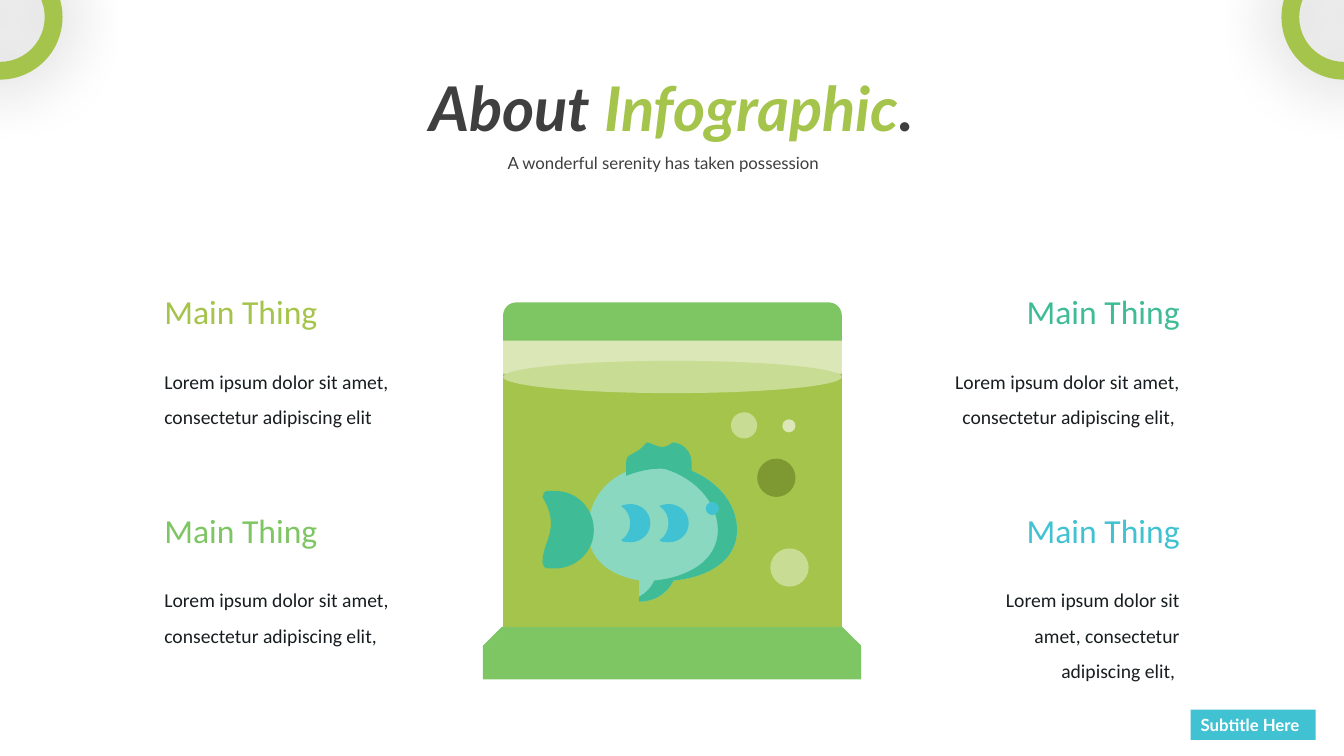
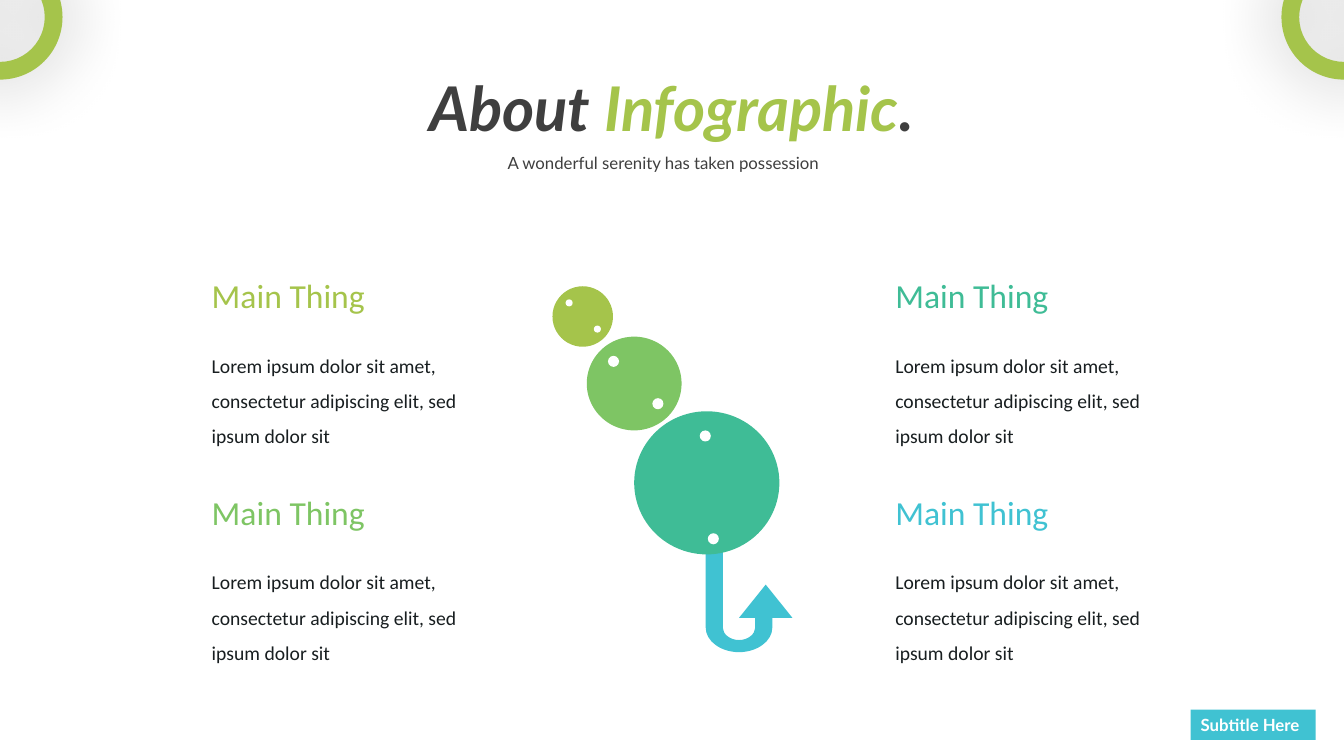
import pptx
import pptx.dml.color
import pptx.enum.shapes
import pptx.enum.text
import pptx.oxml
import pptx.oxml.ns
import pptx.util

Inches = pptx.util.Inches
Pt = pptx.util.Pt
RGBColor = pptx.dml.color.RGBColor
SHAPE = pptx.enum.shapes.MSO_SHAPE
LEFT, CENTER, RIGHT = (pptx.enum.text.PP_ALIGN.LEFT, pptx.enum.text.PP_ALIGN.CENTER,
                       pptx.enum.text.PP_ALIGN.RIGHT)

COLORS = {
    "lime": "A5C44B", "green": "7EC564", "teal": "3FBC96", "cyan": "40C2D2",
    "mint": "8BD8C0", "olive": "7F9932", "surface": "C9DC93", "air": "DBE7B7",
    "dark": "3F3F3F", "body": "181E20", "white": "FFFFFF",
}
COLORS = {name: RGBColor.from_string(value) for name, value in COLORS.items()}
HEADING_WIDTH = 1.68


def add_figure(shapes, kind, box, color, adjustments=()):
    shape = shapes.add_shape(kind, *map(Inches, box))
    shape.shadow.inherit = False
    shape.fill.solid()
    shape.fill.fore_color.rgb = COLORS[color]
    shape.line.fill.background()
    for index, value in enumerate(adjustments):
        shape.adjustments[index] = value
    return shape


def add_outline(shapes, start, steps, color, shift=0):
    """Draw a filled outline; a step is a line (x, y) or a cubic curve (x1, y1, x2, y2, x, y)."""
    points = [start] + [step[i:i + 2] for step in steps for i in range(0, len(step), 2)]
    points = [(Inches(x + shift), Inches(y)) for x, y in points]
    builder = shapes.build_freeform(*points[0])
    builder.add_line_segments(points[1:], close=True)
    shape = builder.convert_to_shape()
    shape.shadow.inherit = False
    shape.fill.solid()
    shape.fill.fore_color.rgb = COLORS[color]
    shape.line.fill.background()

    # Turn the three points of each curve step into one Bezier segment
    qn = pptx.oxml.ns.qn
    outline = shape._element.spPr.find(".//" + qn("a:path"))
    lines = iter(outline.findall(qn("a:lnTo")))
    for step in steps:
        segment = [next(lines) for _ in range(len(step) // 2)]
        if len(segment) == 3:
            curve = pptx.oxml.parse_xml(f'<a:cubicBezTo {pptx.oxml.ns.nsdecls("a")}/>')
            segment[0].addprevious(curve)
            for line in segment:
                curve.append(line[0])
                outline.remove(line)


presentation = pptx.Presentation()
presentation.slide_width = Inches(13.33)
presentation.slide_height = Inches(7.5)

# Text blocks: column edge, heading top, body width, alignment, heading colour, body
short_body = "Lorem ipsum dolor sit amet, consectetur adipiscing elit"
long_body = short_body + ", sed ipsum dolor sit"
slide_blocks = [
    [
        (1.63, 2.89, 2.27, LEFT, "lime", short_body),
        (1.63, 5.06, 2.35, LEFT, "green", short_body + ","),
        (11.7, 2.89, 2.35, RIGHT, "teal", short_body + ", "),
        (11.7, 5.06, 2.2, RIGHT, "cyan", short_body + ", "),
    ],
    [
        (2.1, 2.73, 2.64, LEFT, "lime", long_body),
        (2.1, 4.88, 2.64, LEFT, "green", long_body),
        (8.88, 2.73, 2.64, LEFT, "teal", long_body),
        (8.88, 4.88, 2.64, LEFT, "cyan", long_body),
    ],
]

for blocks in slide_blocks:
    slide = presentation.slides.add_slide(presentation.slide_layouts[5])

    title = slide.shapes.title
    title.left, title.top, title.width, title.height = map(Inches, (2.36, 0.64, 8.6, 0.84))
    title.text_frame.auto_size = pptx.enum.text.MSO_AUTO_SIZE.NONE
    title.text_frame.vertical_anchor = pptx.enum.text.MSO_ANCHOR.TOP
    paragraph = title.text_frame.paragraphs[0]
    paragraph.alignment = CENTER
    for text, color in (("About ", "dark"), ("Infographic", "lime"), (".", "dark")):
        run = paragraph.add_run()
        run.text = text
        run.font.color.rgb = COLORS[color]
    font = paragraph.font
    font.name, font.size, font.bold, font.italic = "Lato", Pt(44), True, True

    texts = [("A wonderful serenity has taken possession", (4.37, 1.37, 4.42, 0.37),
              "Lato", 12, "dark", CENTER, 1.5)]
    for edge, top, width, alignment, color, body in blocks:
        for text, drop, box_width, height, size, text_color, spacing in (
                ("Main Thing", 0, HEADING_WIDTH, 0.4, 24, color, 1.0),
                (body, 0.66, width, 1.02, 14, "body", 1.5)):
            left = edge - box_width if alignment == RIGHT else edge
            texts.append((text, (left, top + drop, box_width, height),
                          "Calibri", size, text_color, alignment, spacing))

    for text, box, font_name, size, color, alignment, spacing in texts:
        text_box = slide.shapes.add_textbox(*map(Inches, box))
        frame = text_box.text_frame
        frame.word_wrap = True
        if font_name == "Calibri":
            frame.margin_left = frame.margin_right = frame.margin_top = frame.margin_bottom = 0
        paragraph = frame.paragraphs[0]
        paragraph.text = text
        paragraph.alignment = alignment
        paragraph.line_spacing = spacing
        font = paragraph.font
        font.name, font.size, font.color.rgb = font_name, Pt(size), COLORS[color]

    label = add_figure(slide.shapes, SHAPE.RECTANGLE, (11.81, 7.04, 1.24, 0.3), "cyan")
    paragraph = label.text_frame.paragraphs[0]
    paragraph.text = "Subtitle Here"
    paragraph.alignment = LEFT
    font = paragraph.font
    font.name, font.size, font.bold, font.color.rgb = "Lato", Pt(12), True, COLORS["white"]

    for left in (-0.62, 12.71):
        ring = add_figure(slide.shapes, SHAPE.DONUT, (left, -0.45, 1.24, 1.24), "lime", (0.142,))
        effects = ring._element.spPr.find(pptx.oxml.ns.qn("a:effectLst"))
        effects.append(pptx.oxml.parse_xml(
            f'<a:outerShdw {pptx.oxml.ns.nsdecls("a")} blurRad="{Pt(49)}" algn="ctr" '
            'rotWithShape="0"><a:srgbClr val="000000"><a:alpha val="33000"/></a:srgbClr>'
            '</a:outerShdw>'))

# Slide 1: aquarium
shapes = presentation.slides[0].shapes
for kind, box, color, adjustments in (
        (SHAPE.SNIP_2_SAME_RECTANGLE, (4.79, 6.22, 3.75, 0.52), "green", (0.355, 0)),
        (SHAPE.ROUND_2_SAME_RECTANGLE, (4.99, 3, 3.36, 0.39), "green", (0.33, 0)),
        (SHAPE.RECTANGLE, (4.99, 3.38, 3.36, 0.33), "air", ()),
        (SHAPE.RECTANGLE, (4.99, 3.71, 3.36, 2.51), "lime", ()),
        (SHAPE.OVAL, (4.99, 3.58, 3.36, 0.32), "surface", ())):
    add_figure(shapes, kind, box, color, adjustments)

fish_parts = [
    # Body
    ("mint", (7.31, 5.26), [
        (7.31, 5.57, 7.01, 5.73, 6.68, 5.76), (6.62, 5.89, 6.49, 5.97, 6.34, 5.97),
        (6.34, 5.76), (6.05, 5.71, 5.83, 5.55, 5.83, 5.26),
        (5.83, 5, 5.98, 4.78, 6.21, 4.68), (6.32, 4.63, 6.43, 4.61, 6.54, 4.61),
        (6.65, 4.61, 6.76, 4.63, 6.86, 4.67), (7.12, 4.78, 7.31, 5, 7.31, 5.26)]),
    # Shaded edge
    ("teal", (6.86, 4.67), [
        (6.76, 4.63, 6.65, 4.61, 6.54, 4.61), (6.51, 4.61, 6.47, 4.61, 6.44, 4.62),
        (6.52, 4.63, 6.59, 4.65, 6.67, 4.68), (6.92, 4.78, 7.12, 5, 7.12, 5.26),
        (7.12, 5.57, 6.81, 5.73, 6.49, 5.76), (6.46, 5.83, 6.41, 5.88, 6.34, 5.92),
        (6.34, 5.97), (6.49, 5.97, 6.62, 5.89, 6.68, 5.76),
        (7.01, 5.73, 7.31, 5.57, 7.31, 5.26), (7.31, 5, 7.12, 4.78, 6.86, 4.67)]),
    # Tail
    ("teal", (5.44, 5.64), [
        (5.5, 5.64), (5.72, 5.64, 5.89, 5.47, 5.89, 5.26),
        (5.89, 5.04, 5.72, 4.87, 5.5, 4.87), (5.44, 4.87),
        (5.4, 4.87, 5.38, 4.9, 5.38, 4.93), (5.57, 5.25, 5.38, 5.36, 5.38, 5.58),
        (5.38, 5.61, 5.4, 5.64, 5.44, 5.64)]),
    # Top fin
    ("teal", (6.86, 4.59), [
        (6.86, 4.72), (6.76, 4.67, 6.65, 4.65, 6.54, 4.65),
        (6.43, 4.65, 6.32, 4.68, 6.21, 4.72), (6.21, 4.59),
        (6.21, 4.48, 6.31, 4.53, 6.41, 4.39), (6.49, 4.39, 6.55, 4.49, 6.67, 4.39),
        (6.77, 4.39, 6.86, 4.48, 6.86, 4.59)]),
]
for color, start, steps in fish_parts:
    add_outline(shapes, start, steps, color)

stripe = [(6.22, 5, 6.18, 5.01, 6.16, 5.02), (6.22, 5.06, 6.25, 5.12, 6.25, 5.19),
          (6.25, 5.26, 6.22, 5.32, 6.16, 5.36), (6.18, 5.38, 6.22, 5.38, 6.25, 5.38),
          (6.36, 5.38, 6.45, 5.3, 6.45, 5.19), (6.45, 5.08, 6.36, 5, 6.25, 5)]
for shift in (0, 0.38):
    add_outline(shapes, (6.25, 5), stripe, "cyan", shift)

# Eye, then bubbles
for left, top, size, color in (
        (7, 4.98, 0.13, "cyan"), (7.51, 4.55, 0.38, "olive"), (7.25, 4.09, 0.26, "surface"),
        (7.76, 4.16, 0.13, "air"), (7.64, 5.44, 0.38, "surface")):
    add_figure(shapes, SHAPE.OVAL, (left, top, size, size), color)

# Slide 2: caterpillar on a hook
caterpillar = presentation.slides[1].shapes.add_group_shape().shapes
hook = [(7, 6.23), (7, 6.36, 7.15, 6.47, 7.33, 6.47), (7.51, 6.47, 7.66, 6.36, 7.66, 6.23),
        (7.66, 6), (7.49, 6), (7.49, 6.23), (7.49, 6.29, 7.42, 6.35, 7.33, 6.35),
        (7.24, 6.35, 7.17, 6.29, 7.17, 6.23), (7.17, 5.04)]
add_outline(caterpillar, (7, 5.04), hook, "cyan")
add_figure(caterpillar, SHAPE.ISOSCELES_TRIANGLE, (7.33, 5.8, 0.53, 0.33), "cyan")

# Each segment with the size and corners of its two dots
for box, color, dot, corners in (
        ((5.82, 3.34, 0.94, 0.93), "green", 0.11, ((6.03, 3.53), (6.47, 3.95))),
        ((6.29, 4.08, 1.44, 1.42), "teal", 0.11, ((6.94, 4.27), (7.02, 5.29))),
        ((5.48, 2.84, 0.6, 0.6), "lime", 0.07, ((5.61, 2.97), (5.89, 3.23)))):
    add_figure(caterpillar, SHAPE.OVAL, box, color)
    for left, top in corners:
        add_figure(caterpillar, SHAPE.OVAL, (left, top, dot, dot), "white")

presentation.save("out.pptx")
